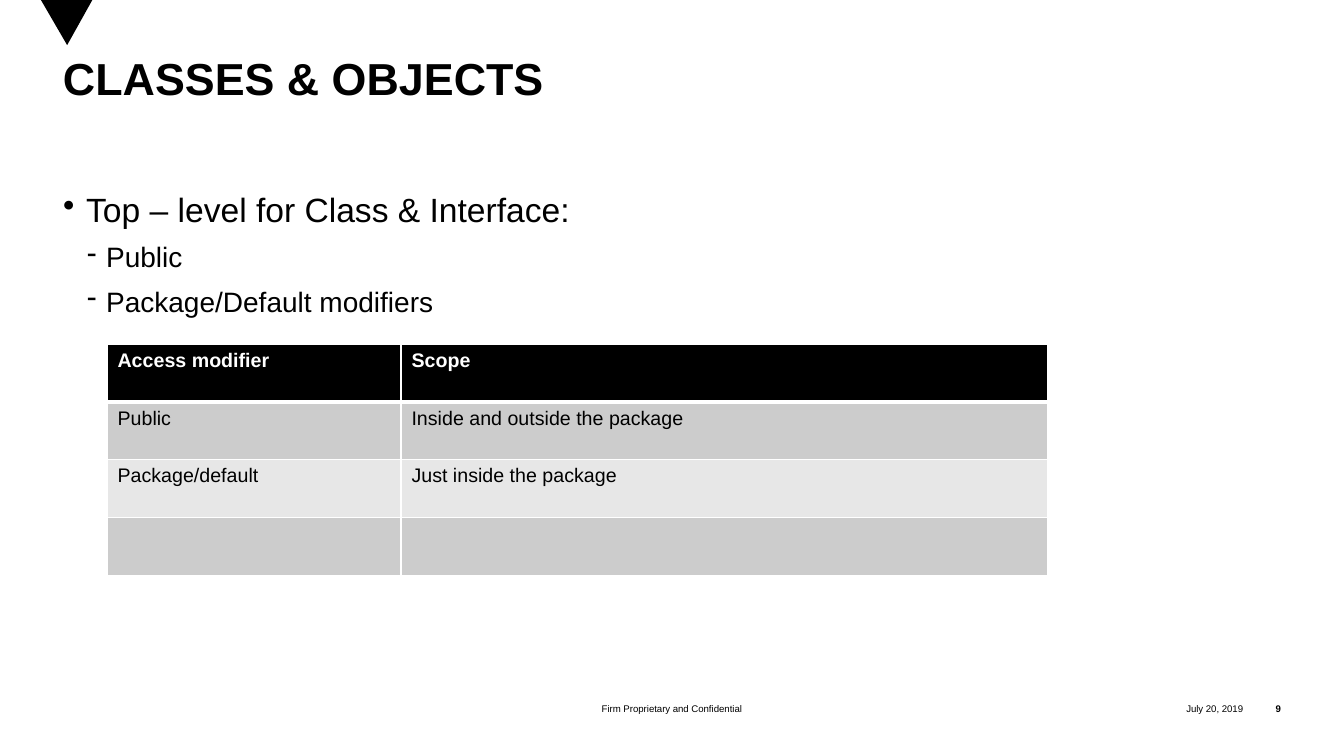
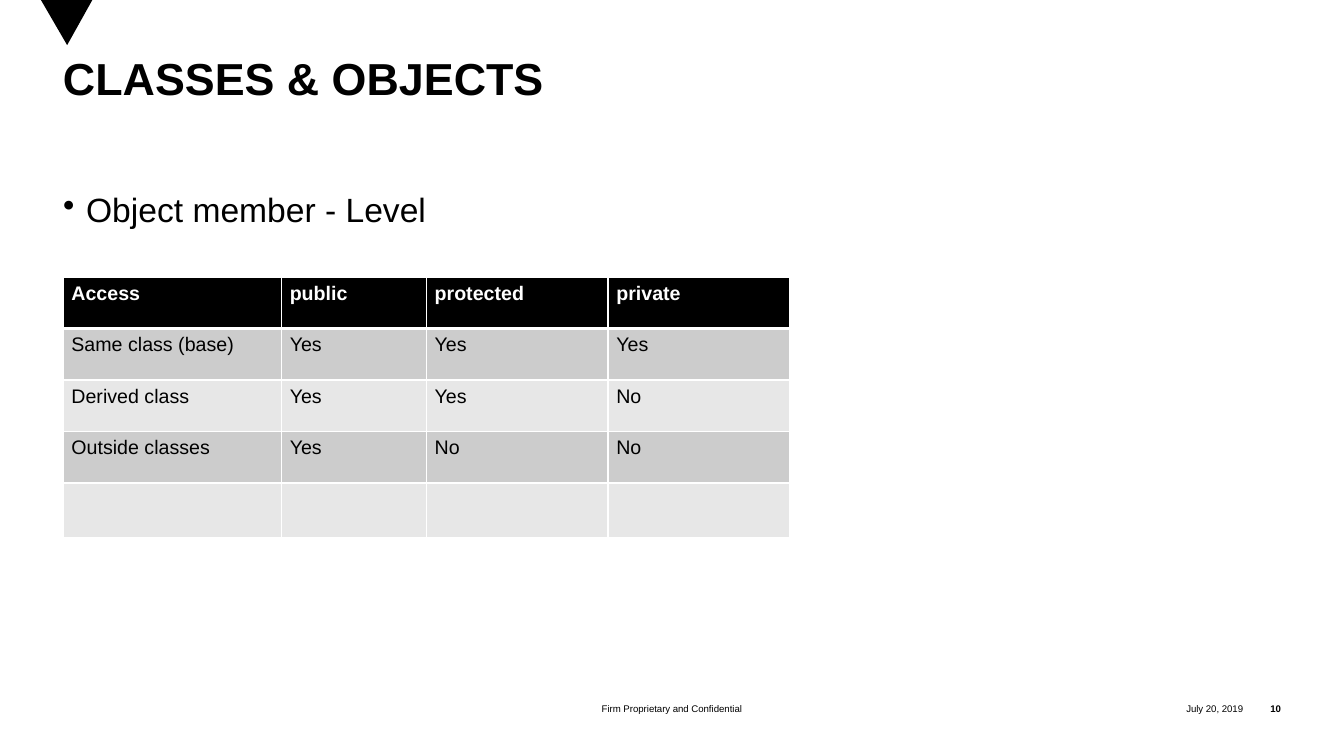
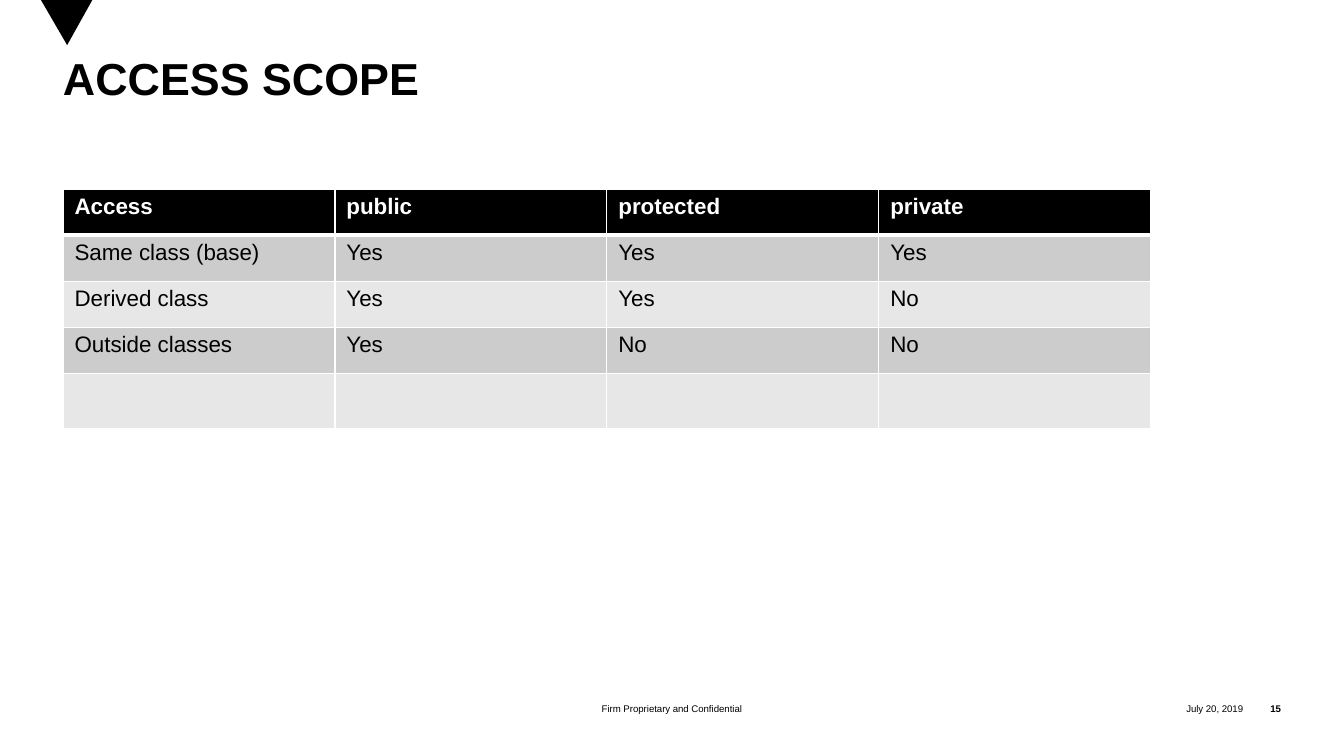
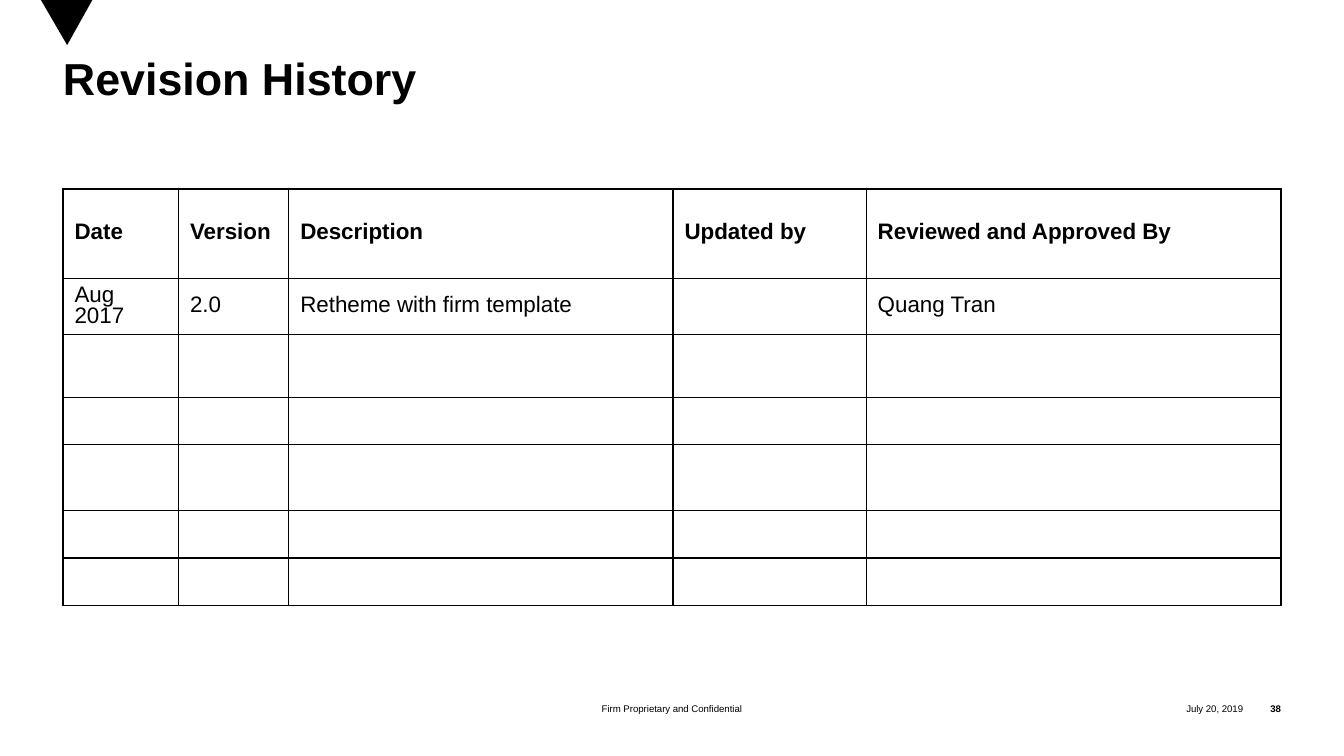
import pptx
import pptx.util
import pptx.dml.color
import pptx.enum.text
import pptx.oxml.ns
import lxml.etree

PX = 9525
BLACK = pptx.dml.color.RGBColor(0x00, 0x00, 0x00)
WHITE = pptx.dml.color.RGBColor(0xFF, 0xFF, 0xFF)
DARK_BAND = pptx.dml.color.RGBColor(0xCC, 0xCC, 0xCC)
LIGHT_BAND = pptx.dml.color.RGBColor(0xE7, 0xE7, 0xE7)
FONT = "Arial"
ALIGN = pptx.enum.text.PP_ALIGN
ANCHOR = pptx.enum.text.MSO_ANCHOR
MARGIN = 60
CONTENT_TOP = 180
BULLETS = {0: ("•", 22, 22, 24), 1: ("-", 41, 18, 20)}

ACCESS_ROWS = [
    ["Access", "public", "protected", "private"],
    ["Same class (base)", "Yes", "Yes", "Yes"],
    ["Derived class", "Yes", "Yes", "No"],
    ["Outside classes", "Yes", "No", "No"],
    [""] * 4,
]
MODIFIER_ROWS = [
    ["Access modifier", "Scope"],
    ["Public", "Inside and outside the package"],
    ["Package/default", "Just inside the package"],
    [""] * 2,
]
REVISION_ROWS = [
    ["Date", "Version", "Description", "Updated by", "Reviewed and Approved By"],
    ["Aug 2017", "2.0", "Retheme with firm template", "", "Quang Tran"],
] + [[""] * 5] * 5


def px(length):
    """Turn px into EMU."""
    return pptx.util.Emu(length * PX)


def add_element(parent, tag, **attributes):
    """Append a DrawingML element to a parent."""
    element = lxml.etree.SubElement(parent, pptx.oxml.ns.qn(tag))
    for name, value in attributes.items():
        element.set(name, str(value))
    return element


def write_text(paragraph, text, size, bold=False, color=BLACK, align=ALIGN.LEFT, line_spacing=None):
    """Write one formatted run into a paragraph."""
    paragraph.alignment = align
    if line_spacing:
        paragraph.line_spacing = line_spacing
    run = paragraph.add_run()
    run.text = text
    run.font.name = FONT
    run.font.size = pptx.util.Pt(size)
    run.font.bold = bold
    run.font.color.rgb = color


def add_text_frame(slide, left, top, width, height, anchor=ANCHOR.TOP):
    """Add a wrapping text box without insets and return its text frame."""
    frame = slide.shapes.add_textbox(px(left), px(top), px(width), px(height)).text_frame
    frame.word_wrap = True
    frame.vertical_anchor = anchor
    frame.margin_left = frame.margin_right = frame.margin_top = frame.margin_bottom = 0
    return frame


def add_marker(slide):
    """Add the black triangle at the top edge."""
    builder = slide.shapes.build_freeform(39, 0, scale=PX)
    builder.add_line_segments([(64, 43), (88, 0)], close=True)
    shape = builder.convert_to_shape()
    shape.shadow.inherit = False
    shape.fill.solid()
    shape.fill.fore_color.rgb = BLACK
    shape.line.fill.background()


def add_footer(slide, number):
    """Add the confidentiality note, date and slide number."""
    for left, width, text, align, bold in (
        (1041, 143, "July 20, 2019", ALIGN.RIGHT, False),
        (1184, 36, str(number), ALIGN.RIGHT, True),
        (420, 440, "Firm Proprietary and Confidential", ALIGN.CENTER, False),
    ):
        frame = add_text_frame(slide, left, 663, width, 24, ANCHOR.MIDDLE)
        write_text(frame.paragraphs[0], text, 6.9, bold=bold, align=align)


def add_content_slide(presentation, title, number):
    """Add a slide with its marker, footer and title."""
    slide = presentation.slides.add_slide(presentation.slide_layouts[6])
    add_marker(slide)
    add_footer(slide, number)
    frame = add_text_frame(slide, MARGIN, 56, 1160, 124)
    write_text(frame.paragraphs[0], title, 32, bold=True, line_spacing=0.85)
    return slide


def add_bullets(slide, items):
    """Add a bulleted list from (level, text) pairs."""
    frame = add_text_frame(slide, MARGIN, CONTENT_TOP, 980, 448)
    for index, (level, text) in enumerate(items):
        paragraph = frame.add_paragraph() if index else frame.paragraphs[0]
        character, indent, hanging, size = BULLETS[level]
        paragraph.level = level
        write_text(paragraph, text, size)
        paragraph.space_before = pptx.util.Pt(7.5)
        properties = paragraph._p.get_or_add_pPr()
        properties.set("marL", str(px(indent)))
        properties.set("indent", str(px(-hanging)))
        add_element(properties, "a:buChar", char=character)


def set_borders(cell, color, left, right, top, bottom):
    """Draw the four cell borders with weights in points."""
    properties = cell._tc.get_or_add_tcPr()
    for side, weight in zip("LRTB", (left, right, top, bottom)):
        line = add_element(properties, f"a:ln{side}", w=pptx.util.Pt(weight))
        fill = add_element(line, "a:solidFill")
        add_element(fill, "a:srgbClr", val=color)


def add_grid(slide, left, top, columns, heights, rows, size, inset):
    """Add a table with sized columns and rows, and yield its cells with their text."""
    table = slide.shapes.add_table(
        len(rows), len(columns), px(left), px(top), px(sum(columns)), px(sum(heights))
    ).table
    table.first_row = table.horz_banding = False
    for column, width in zip(table.columns, columns):
        column.width = px(width)
    for row, height in zip(table.rows, heights):
        row.height = px(height)
    for row_index, texts in enumerate(rows):
        for column_index, text in enumerate(texts):
            cell = table.cell(row_index, column_index)
            cell.margin_left = cell.margin_right = px(inset)
            cell.margin_top = cell.margin_bottom = px(5)
            yield cell, row_index, column_index, text


def add_banded_table(slide, left, top, columns, heights, rows, size, inset):
    """Add a table with a black header and grey bands."""
    for cell, row, column, text in add_grid(slide, left, top, columns, heights, rows, size, inset):
        set_borders(cell, WHITE, 1, 1, 3 if row == 1 else 1, 3 if row == 0 else 1)
        cell.fill.solid()
        cell.fill.fore_color.rgb = BLACK if row == 0 else (LIGHT_BAND, DARK_BAND)[row % 2]
        if text:
            color = WHITE if row == 0 else BLACK
            write_text(cell.text_frame.paragraphs[0], text, size, bold=row == 0, color=color)


def add_ruled_table(slide, left, top, columns, heights, rows, size, inset):
    """Add an unfilled table with black rules and a heavier frame."""
    thin, thick = 1, 2.25
    last = len(columns) - 1
    for cell, row, column, text in add_grid(slide, left, top, columns, heights, rows, size, inset):
        set_borders(
            cell, BLACK,
            thick if column == 0 else thin,
            thick if column == last else thin,
            thick if row == 0 else thin,
            thin,
        )
        cell.fill.background()
        cell.vertical_anchor = ANCHOR.MIDDLE
        if text:
            write_text(cell.text_frame.paragraphs[0], text, size, bold=row == 0, line_spacing=0.85)


def main():
    """Build and save the presentation."""
    presentation = pptx.Presentation()
    presentation.slide_width = px(1280)
    presentation.slide_height = px(720)

    slide = add_content_slide(presentation, "CLASSES & OBJECTS", 9)
    add_bullets(slide, [
        (0, "Top – level for Class & Interface:"),
        (1, "Public"),
        (1, "Package/Default modifiers"),
    ])
    add_banded_table(slide, 102, 328, [280, 616], [55] * 4, MODIFIER_ROWS, 14, 10)

    slide = add_content_slide(presentation, "CLASSES & OBJECTS", 10)
    add_bullets(slide, [(0, "Object member - Level")])
    add_banded_table(
        slide, MARGIN, 264, [208, 138, 173, 173], [49] * 4 + [52], ACCESS_ROWS, 14, 8
    )

    slide = add_content_slide(presentation, "ACCESS SCOPE", 15)
    add_banded_table(
        slide, MARGIN, CONTENT_TOP, [259] * 4, [44] * 4 + [52], ACCESS_ROWS, 16, 11
    )

    slide = add_content_slide(presentation, "Revision History", 38)
    add_ruled_table(
        slide, MARGIN, CONTENT_TOP, [110, 105, 366, 184, 395],
        [85, 50, 60, 45, 63, 45, 45], REVISION_ROWS, 16, 11,
    )

    presentation.save("out.pptx")


if __name__ == "__main__":
    main()
